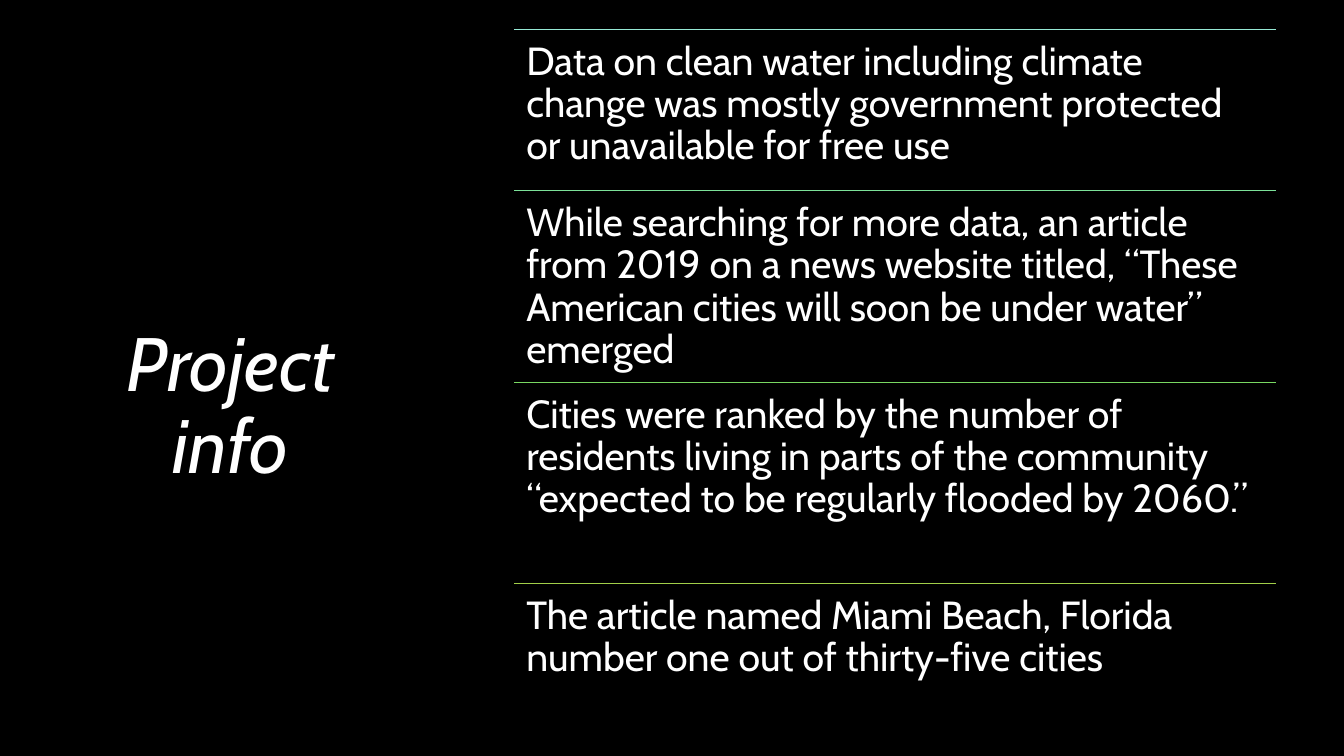
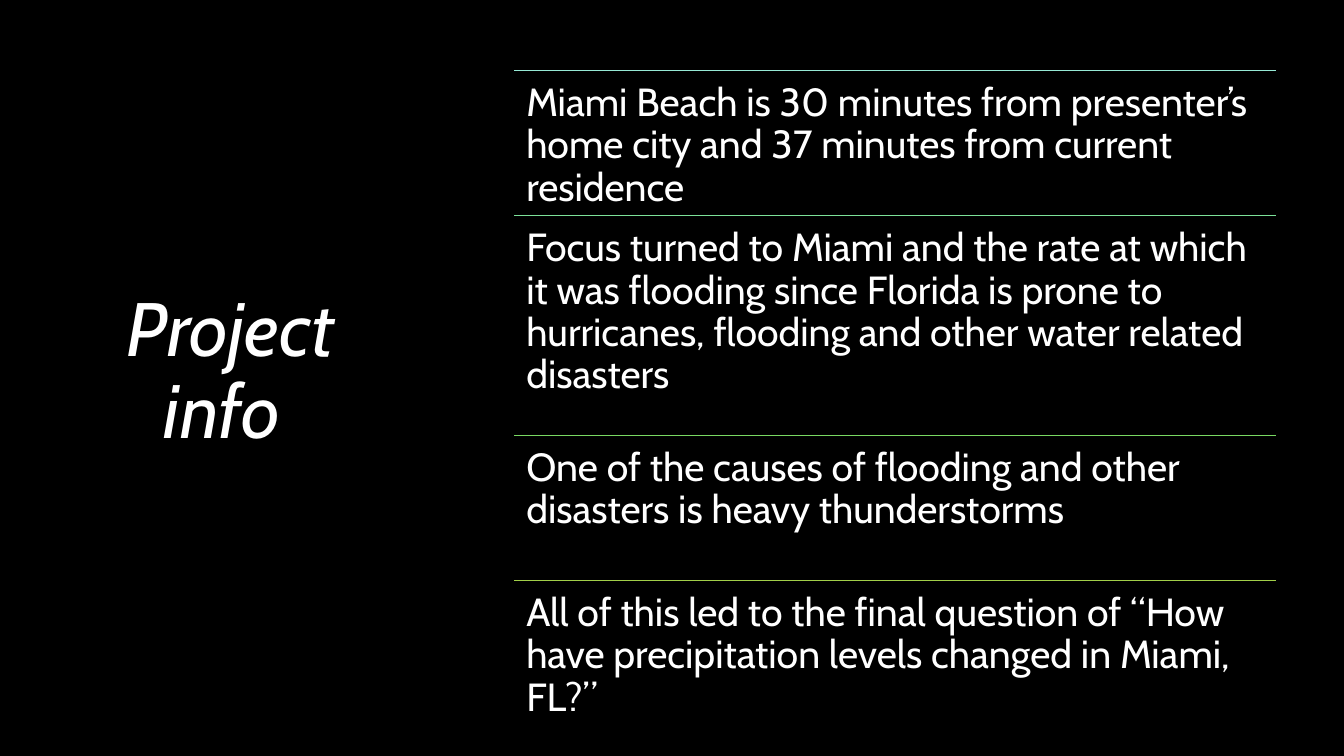
from itertools import pairwise

from lxml.etree import SubElement
from pptx import Presentation
from pptx.dml.color import RGBColor
from pptx.enum.shapes import MSO_CONNECTOR
from pptx.enum.text import MSO_ANCHOR, PP_ALIGN
from pptx.oxml.ns import qn
from pptx.util import Inches, Pt

COLORS = {
    "background": "000000",
    "text": "FFFFFF",
    "aqua": "97E9D5",
    "mint": "7CE199",
    "green": "79D862",
    "olive": "A2CF49",
}
RULE_COLORS = ("aqua", "mint", "green", "olive")
FONT = "Cabin"
LIST_LEFT, LIST_WIDTH = 5.1, 7.56
TITLE_LEFT, TITLE_WIDTH, TITLE_HEIGHT = 0.68, 3.21, 1.75

# Row edges run from the top of the first row to the bottom of the last one.
SLIDES = (
    {
        "title": "Project info",
        "title_top": 3.19,
        "row_edges": (0.29, 1.89, 3.79, 5.79, 6.88),
        "statements": (
            "Data on clean water including climate change was mostly "
            "government protected or unavailable for free use",
            "While searching for more data, an article from 2019 on "
            "a news website titled, “These American cities will soon be "
            "under water” emerged",
            "Cities were ranked by the number of residents living in parts "
            "of the community “expected to be regularly flooded by 2060.”",
            "The article named Miami Beach, Florida number one out of "
            "thirty-five cities",
        ),
    },
    {
        "title": "Project info ",
        "title_top": 2.84,
        "row_edges": (0.7, 2.14, 4.32, 5.76, 7.2),
        "statements": (
            "Miami Beach is 30 minutes from presenter’s home city and "
            "37 minutes from current residence",
            "Focus turned to Miami and the rate at which it was flooding "
            "since Florida is prone to hurricanes, flooding and other water "
            "related disasters",
            "One of the causes of flooding and other disasters is heavy "
            "thunderstorms",
            "All of this led to the final question of “How have "
            "precipitation levels changed in Miami, FL?”",
        ),
    },
)


def color(name):
    return RGBColor.from_string(COLORS[name])


def add_text(page, text, left, top, width, height, *, size,
             italic=False, align=PP_ALIGN.LEFT, inset=(0.1, 0.05)):
    """Add a wrapped text box; inset is its horizontal and vertical margin."""
    box = page.shapes.add_textbox(
        Inches(left), Inches(top), Inches(width), Inches(height))
    frame = box.text_frame
    frame.word_wrap = True
    frame.vertical_anchor = MSO_ANCHOR.TOP
    frame.margin_left = frame.margin_right = Inches(inset[0])
    frame.margin_top = frame.margin_bottom = Inches(inset[1])
    para = frame.paragraphs[0]
    para.alignment = align
    para.line_spacing = 0.9
    span = para.add_run()
    span.text = text
    span.font.name = FONT
    span.font.size = Pt(size)
    span.font.italic = italic
    span.font.color.rgb = color("text")


def add_rule(page, top, color_name):
    rule = page.shapes.add_connector(
        MSO_CONNECTOR.STRAIGHT, Inches(LIST_LEFT), Inches(top),
        Inches(LIST_LEFT + LIST_WIDTH), Inches(top))
    rule.line.width = Pt(0.5)
    rule.line.color.rgb = color(color_name)
    SubElement(rule._element.spPr, qn("a:effectLst"))


def add_title(page, text, top):
    add_text(page, text, TITLE_LEFT, top, TITLE_WIDTH, TITLE_HEIGHT,
             size=54, italic=True, align=PP_ALIGN.CENTER)


def add_ruled_list(page, statements, row_edges):
    """Stack the statements, each under its own coloured rule."""
    rows = zip(statements, pairwise(row_edges), RULE_COLORS)
    for statement, (top, bottom), color_name in rows:
        add_rule(page, top, color_name)
        add_text(page, statement, LIST_LEFT, top, LIST_WIDTH, bottom - top,
                 size=28, inset=(0.12, 0.12))


def main():
    deck = Presentation()
    deck.slide_width, deck.slide_height = Inches(13.33), Inches(7.5)
    backdrop = deck.slide_master.background.fill
    backdrop.solid()
    backdrop.fore_color.rgb = color("background")
    for content in SLIDES:
        page = deck.slides.add_slide(deck.slide_layouts[6])
        add_title(page, content["title"], content["title_top"])
        add_ruled_list(page, content["statements"], content["row_edges"])
    deck.save("out.pptx")


if __name__ == "__main__":
    main()
